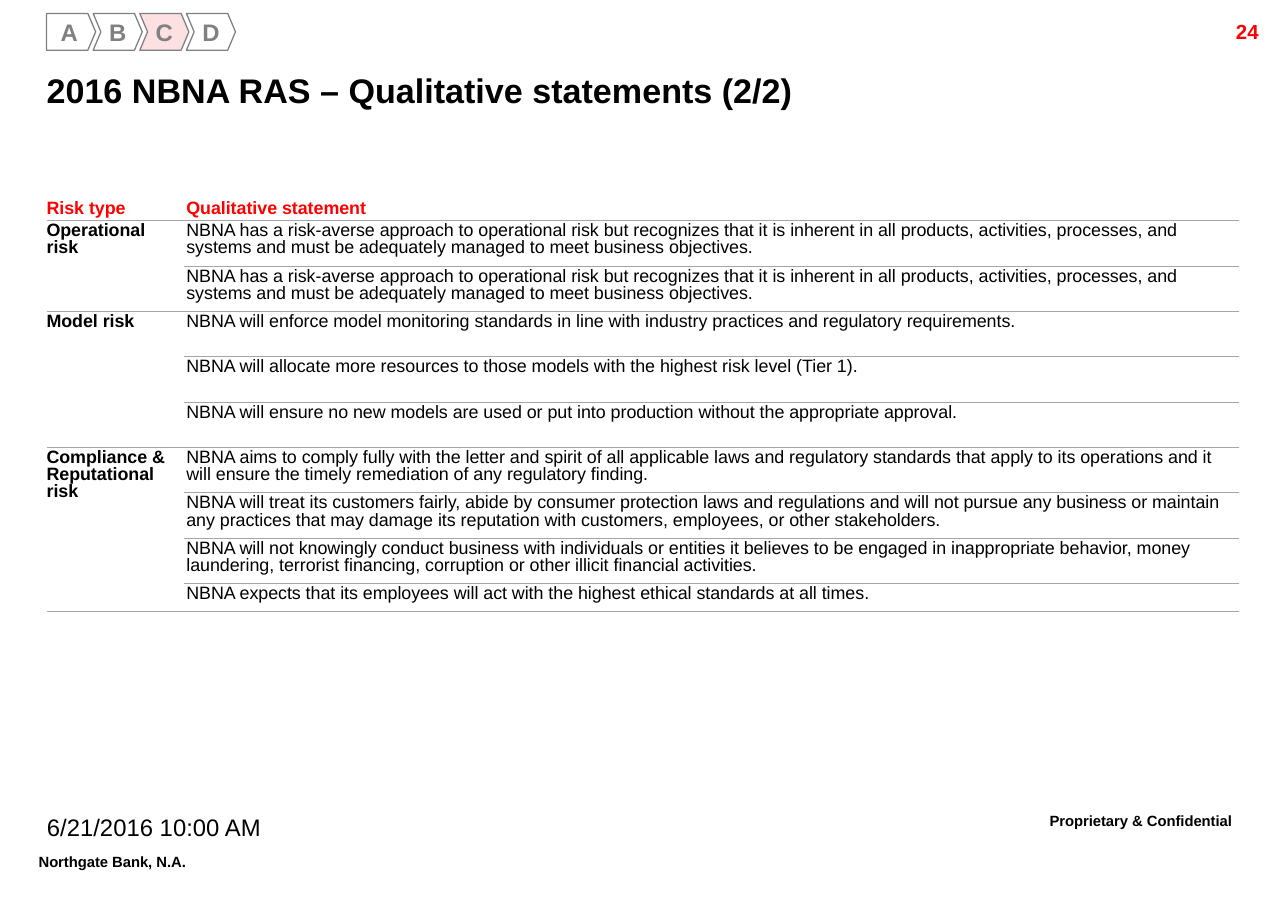
import dataclasses
import typing

import lxml.etree
import pptx
import pptx.dml.color
import pptx.enum.shapes
import pptx.enum.text
import pptx.oxml.ns
import pptx.util

PX = 9144
BLACK = pptx.dml.color.RGBColor(0, 0, 0)
WHITE = pptx.dml.color.RGBColor(255, 255, 255)
RED = pptx.dml.color.RGBColor(255, 0, 0)
GRAY = pptx.dml.color.RGBColor(128, 128, 128)
PINK = pptx.dml.color.RGBColor(252, 224, 226)
RULE = pptx.dml.color.RGBColor(165, 165, 165)

ALIGN = pptx.enum.text.PP_ALIGN
ANCHOR = pptx.enum.text.MSO_ANCHOR
SHAPE = pptx.enum.shapes.MSO_SHAPE
NO_STYLE = "{2D5ABB26-0587-4C30-8999-92F81FD0307C}"


@dataclasses.dataclass(frozen=True)
class Style:
    size: float
    bold: bool = True
    color: pptx.dml.color.RGBColor = BLACK
    align: typing.Any = ALIGN.LEFT
    lead: float = 1.0
    after: int = 0
    lift: int = 0


@dataclasses.dataclass(frozen=True)
class Label:
    text: str
    box: tuple[int, int, int, int]
    style: Style
    anchor: typing.Any = ANCHOR.TOP
    pads: tuple[int, int, int, int] = (10, 5, 10, 5)
    wrap: bool = True


@dataclasses.dataclass(frozen=True)
class Risk:
    name: str
    lines: tuple[str, ...]


HEAD = Style(10.5, color=RED, lead=0.86, after=2)
NAME = dataclasses.replace(HEAD, color=BLACK)
BODY = dataclasses.replace(NAME, bold=False)
STEP = Style(14, color=GRAY, align=ALIGN.CENTER)
FOOT = Style(15, align=ALIGN.CENTER, lead=0.86, lift=30000)
DATE = Style(14, bold=False, align=ALIGN.CENTER, lead=0.86)

LABELS = (
    Label("Northgate Bank, N.A.", (21, 691, 141, 32), FOOT, wrap=False),
    Label("6/21/2016 10:00 AM", (5, 661, 241, 34), DATE),
    Label("Proprietary & Confidential", (821, 658, 218, 35), FOOT),
    Label("24", (936, 11, 100, 24), Style(12, color=RED, align=ALIGN.RIGHT)),
    Label("2016 NBNA RAS – Qualitative statements (2/2)", (38, 49, 948, 48),
          Style(20), ANCHOR.MIDDLE, (0, 0, 0, 0)),
)

AVERSE = ("NBNA has a risk-averse approach to operational risk but recognizes that it is "
          "inherent in all products, activities, processes, and systems and must be "
          "adequately managed to meet business objectives.")
RISKS = (
    Risk("Operational risk", (AVERSE, AVERSE)),
    Risk("Model risk", (
        "NBNA will enforce model monitoring standards in line with industry practices "
        "and regulatory requirements.",
        "NBNA will allocate more resources to those models with the highest risk level (Tier 1).",
        "NBNA will ensure no new models are used or put into production without the "
        "appropriate approval.",
    )),
    Risk("Compliance & Reputational risk", (
        "NBNA aims to comply fully with the letter and spirit of all applicable laws and "
        "regulatory standards that apply to its operations and it will ensure the timely "
        "remediation of any regulatory finding.",
        "NBNA will treat its customers fairly, abide by consumer protection laws and "
        "regulations and will not pursue any business or maintain any practices that may "
        "damage its reputation with customers, employees, or other stakeholders.",
        "NBNA will not knowingly conduct business with individuals or entities it believes "
        "to be engaged in inappropriate behavior, money laundering, terrorist financing, "
        "corruption or other illicit financial activities.",
        "NBNA expects that its employees will act with the highest ethical standards at all times.",
    )),
)
COLS = (112, 860)
ROWS = (19, *[37] * 8, 23)


def scale(*marks: int) -> list[int]:
    return [mark * PX for mark in marks]


def apply(thing: typing.Any, values: dict[str, typing.Any]) -> None:
    for key, value in values.items():
        setattr(thing, key, value)


def pad(thing: typing.Any, pads: tuple[int, int, int, int]) -> None:
    sides = ("margin_left", "margin_top", "margin_right", "margin_bottom")
    apply(thing, dict(zip(sides, scale(*pads))))


def write(frame: typing.Any, text: str, style: Style) -> None:
    para = frame.paragraphs[0]
    apply(para, {"alignment": style.align, "line_spacing": style.lead,
                 "space_after": pptx.util.Pt(style.after)})
    run = para.add_run()
    run.text = text
    apply(run.font, {"name": "Arial", "size": pptx.util.Pt(style.size), "bold": style.bold})
    run.font.color.rgb = style.color
    if style.lift:
        run.font._element.set("baseline", str(style.lift))


def add_label(slide: typing.Any, label: Label) -> None:
    frame = slide.shapes.add_textbox(*scale(*label.box)).text_frame
    apply(frame, {"word_wrap": label.wrap, "vertical_anchor": label.anchor})
    pad(frame, label.pads)
    write(frame, label.text, label.style)


def add_step(group: typing.Any, index: int, text: str) -> None:
    kind = SHAPE.CHEVRON if index else SHAPE.PENTAGON
    step = group.shapes.add_shape(kind, *scale(38 + 38 * index, 11, 40, 30))
    step.adjustments[0] = 0.21
    step.shadow.inherit = False
    step.fill.solid()
    step.fill.fore_color.rgb = PINK if text == "C" else WHITE
    step.line.color.rgb = GRAY
    step.line.width = pptx.util.Pt(0.75)
    apply(step.text_frame, {"vertical_anchor": ANCHOR.MIDDLE, "word_wrap": True})
    pad(step.text_frame, (0, 0, 0, 0))
    write(step.text_frame, text, STEP)


def add_rules(cell: typing.Any, top: bool) -> None:
    qn = pptx.oxml.ns.qn
    props = cell._tc.get_or_add_tcPr()
    drawn = {"lnL": False, "lnR": False, "lnT": top, "lnB": True}
    for spot, (side, shown) in enumerate(drawn.items()):
        line = lxml.etree.Element(qn(f"a:{side}"), w=str(pptx.util.Pt(0.75)))
        if shown:
            fill = lxml.etree.SubElement(line, qn("a:solidFill"))
            lxml.etree.SubElement(fill, qn("a:srgbClr"), val=str(RULE))
        else:
            lxml.etree.SubElement(line, qn("a:noFill"))
        props.insert(spot, line)


def add_grid(slide: typing.Any) -> None:
    box = scale(38, 161, sum(COLS), sum(ROWS))
    table = slide.shapes.add_table(len(ROWS), len(COLS), *box).table
    apply(table, {"first_row": False, "horz_banding": False})
    table._tbl.tblPr.find(pptx.oxml.ns.qn("a:tableStyleId")).text = NO_STYLE
    for col, width in zip(table.columns, scale(*COLS)):
        col.width = width
    for row, height in zip(table.rows, scale(*ROWS)):
        row.height = height
    for row in range(len(ROWS)):
        for col in range(len(COLS)):
            cell = table.cell(row, col)
            cell.vertical_anchor = ANCHOR.TOP if row else ANCHOR.MIDDLE
            pad(cell, (2 * col, 2, 2, 2))
            cell.fill.background()
            add_rules(cell, row > 0)
    for col, text in enumerate(("Risk type", "Qualitative statement")):
        write(table.cell(0, col).text_frame, text, HEAD)
    row = 1
    for risk in RISKS:
        first = table.cell(row, 0)
        write(first.text_frame, risk.name, NAME)
        first.merge(table.cell(row + len(risk.lines) - 1, 0))
        for line in risk.lines:
            write(table.cell(row, 1).text_frame, line, BODY)
            row += 1


def main() -> None:
    deck = pptx.Presentation()
    apply(deck, dict(zip(("slide_width", "slide_height"), scale(1050, 750))))
    slide = deck.slides.add_slide(deck.slide_layouts[6])
    for label in LABELS:
        add_label(slide, label)
    add_grid(slide)
    group = slide.shapes.add_group_shape()
    for index, text in enumerate("ABCD"):
        add_step(group, index, text)
    deck.save("out.pptx")


if __name__ == "__main__":
    main()
